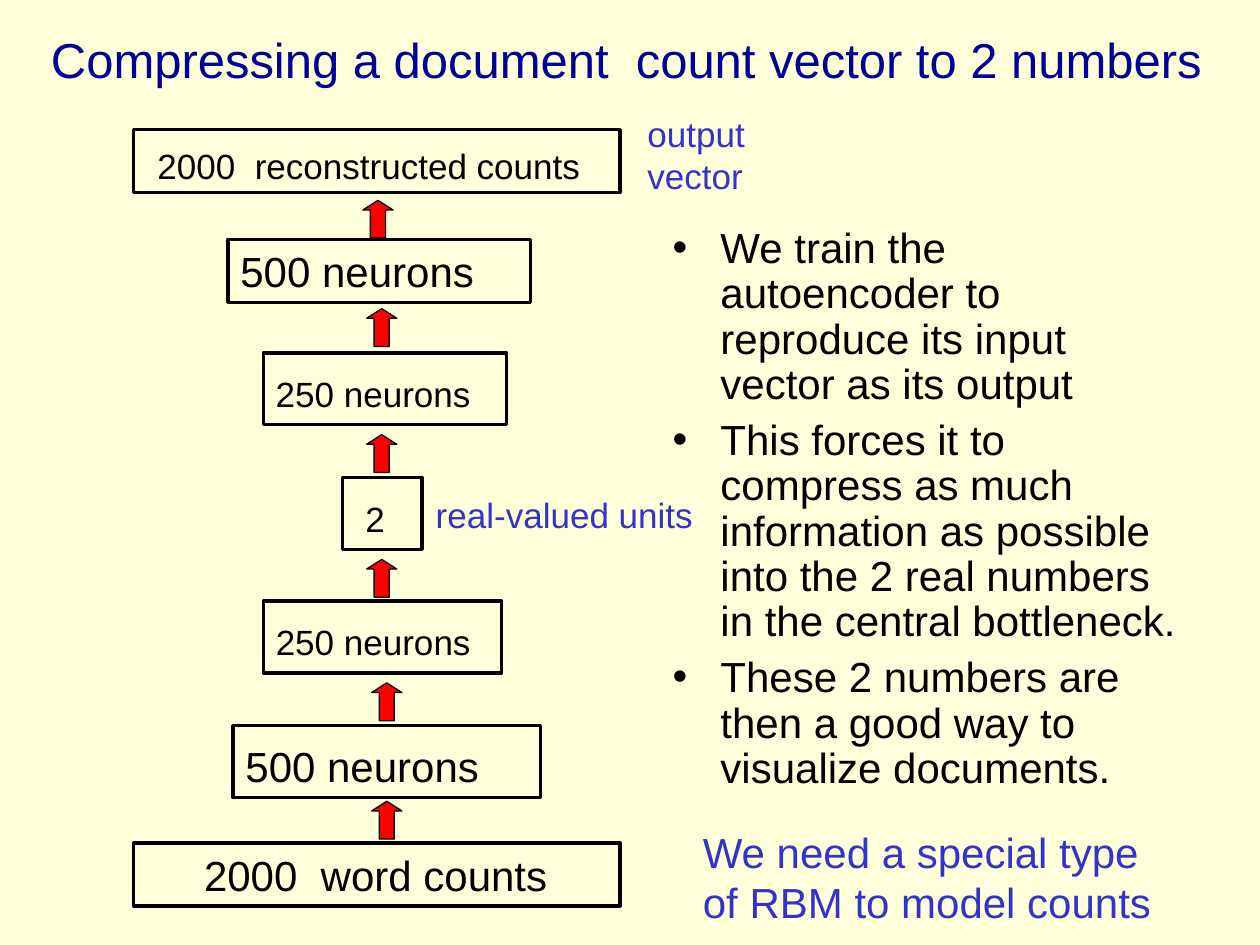
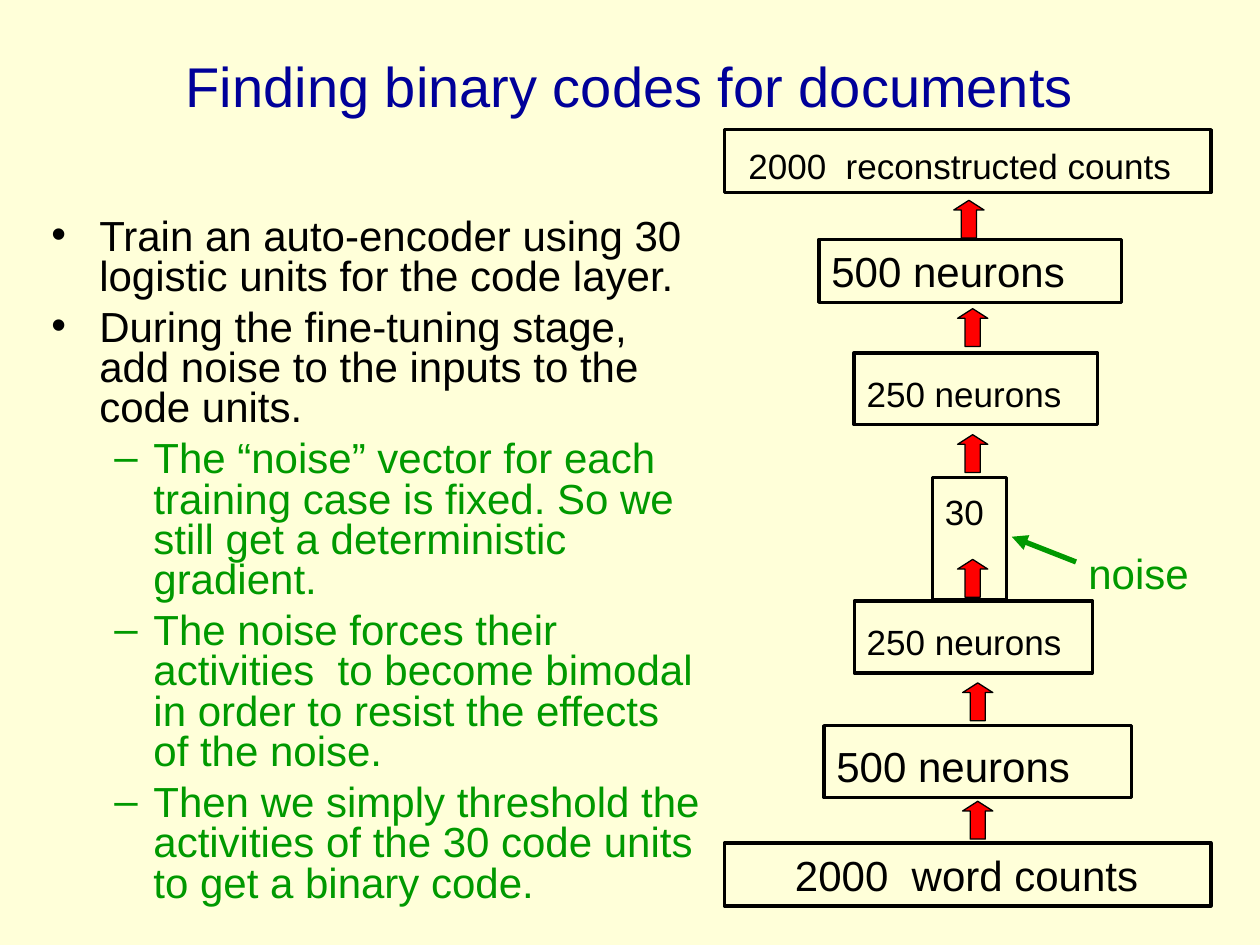
"""Build two slides on compressing documents with deep autoencoders."""
from lxml.etree import SubElement
from pptx import Presentation
from pptx.dml.color import RGBColor
from pptx.enum.shapes import MSO_CONNECTOR as Wire, MSO_SHAPE as Kind
from pptx.enum.text import MSO_ANCHOR as Anchor, PP_ALIGN as Align
from pptx.oxml.ns import qn
from pptx.util import Inches, Pt

CREAM = RGBColor(0xFF, 0xFF, 0xD9)
NAVY = RGBColor(0x00, 0x00, 0x99)
BLUE = RGBColor(0x33, 0x33, 0xCC)
GREEN = RGBColor(0x00, 0x99, 0x00)
RED = RGBColor(0xFF, 0x00, 0x00)
BLACK = RGBColor(0x00, 0x00, 0x00)

FONT = "Arial"
COLS, ROWS = 100, 75
BULLETS = (("•", 0.38, -0.38, BLACK), ("–", 0.81, -0.31, GREEN))

LAYERS = (
    ("2000  reconstructed counts", 0, 10.3, 38.6, 5, 20, 1.9, 0.5),
    ("500 neurons", 7.5, 19, 24, 5, 24, 1, 0.5),
    ("250 neurons", 10.3, 28, 19.3, 5.7, 20, 1, 0.8),
    ("250 neurons", 10.3, 47.7, 18.9, 5.7, 20, 1, 0.8),
    ("500 neurons", 7.9, 57.6, 24.4, 5.7, 24, 1, 0.5),
    ("2000  word counts", 0, 66.9, 38.6, 5, 24, 5.6, 0.5),
)
ARROWS = ((18.2, 15.9), (18.5, 24.5), (18.5, 34.5),
          (18.5, 44.4), (18.9, 54.2), (18.9, 63.6))


def write(shape, items, size=24, color=BLACK, align=Align.LEFT, lead=1.2,
          anchor=Anchor.TOP, pads=(0.1, 0.05, 0.1, 0.05), bullets=False):
    """Fill a shape with (text, level) paragraphs in one format."""
    frame = shape.text_frame
    frame.word_wrap = True
    frame.vertical_anchor = anchor
    (frame.margin_left, frame.margin_top,
     frame.margin_right, frame.margin_bottom) = map(Inches, pads)
    for spot, (text, level) in enumerate(items):
        para = frame.add_paragraph() if spot else frame.paragraphs[0]
        para.alignment = align
        para.level = level
        para.line_spacing = Pt(size * lead)
        para.space_before = Pt(6 if spot else 0)
        tint = color
        if bullets:
            mark, left, hang, tint = BULLETS[level]
            props = para._p.get_or_add_pPr()
            props.set("marL", str(Inches(left)))
            props.set("indent", str(Inches(hang)))
            SubElement(props, qn("a:buFont"), typeface=FONT)
            SubElement(props, qn("a:buChar"), char=mark)
        run = para.add_run()
        run.text = text
        run.font.name = FONT
        run.font.size = Pt(size)
        run.font.color.rgb = tint


class Deck:
    """Hold the deck's grid and style, and draw on the current slide."""

    def __init__(self):
        """Start an empty deck."""
        self.show = Presentation()
        self.show.slide_width = Inches(10)
        self.show.slide_height = Inches(7.5)
        self.slide = None

    def grid(self, col, row):
        """Turn columns and rows into lengths."""
        return (round(self.show.slide_width * col / COLS),
                round(self.show.slide_height * row / ROWS))

    def page(self, title, size, *area):
        """Add a slide with its title."""
        self.slide = self.show.slides.add_slide(self.show.slide_layouts[6])
        fill = self.slide.background.fill
        fill.solid()
        fill.fore_color.rgb = CREAM
        self.text(title, *area, size=size, color=NAVY, align=Align.CENTER,
                  anchor=Anchor.MIDDLE)

    def frame(self, col, row, wide, high):
        """Add an empty text box."""
        return self.slide.shapes.add_textbox(*self.grid(col, row),
                                             *self.grid(wide, high))

    def text(self, words, *area, **style):
        """Add a text box with one paragraph."""
        write(self.frame(*area), [(words, 0)], **style)

    def list(self, items, *area, lead):
        """Add a bulleted list."""
        write(self.frame(*area), items, lead=lead, bullets=True)

    def shape(self, kind, col, row, wide, high, line, fill=None):
        """Add an outlined preset shape."""
        shape = self.slide.shapes.add_shape(
            kind, *self.grid(col, row), *self.grid(wide, high))
        shape.shadow.inherit = False
        shape.line.color.rgb = BLACK
        shape.line.width = Pt(line)
        if fill is None:
            shape.fill.background()
        else:
            shape.fill.solid()
            shape.fill.fore_color.rgb = fill
        return shape

    def box(self, words, *area, **style):
        """Add a layer box with its label."""
        write(self.shape(Kind.RECTANGLE, *area, 2), [(words, 0)], **style)

    def arrow(self, col, row):
        """Add a red arrow that points up."""
        shape = self.shape(Kind.UP_ARROW, col, row, 2.4, 3, 0.75, RED)
        shape.adjustments[0] = 0.5
        shape.adjustments[1] = 0.32

    def wire(self, start, end, color):
        """Add a line with an arrowhead at its end."""
        line = self.slide.shapes.add_connector(
            Wire.STRAIGHT, *self.grid(*start), *self.grid(*end))
        line.line.color.rgb = color
        line.line.width = Pt(3)
        SubElement(line.line._get_or_add_ln(), qn("a:tailEnd"), type="triangle")
        SubElement(line._element.spPr, qn("a:effectLst"))

    def stack(self, left, code, col, wide, high, **style):
        """Draw the autoencoder around its code layer."""
        for words, shift, row, width, tall, size, pad, foot in LAYERS:
            self.box(words, left + shift, row, width, tall, size=size,
                     anchor=Anchor.BOTTOM, pads=(pad / 10, 0, 0, foot / 10))
        self.box(code, left + col, 37.9, wide, high, size=20, **style)
        for shift, row in ARROWS:
            self.arrow(left + shift, row)


def main():
    """Build and save the deck."""
    deck = Deck()

    deck.page("Compressing a document  count vector to 2 numbers", 28,
              -2.6, -1.6, 104.6, 12.5)
    deck.list([
        ("We train the autoencoder to reproduce its input vector as its output", 0),
        ("This forces it to compress as much information as possible into "
         "the 2 real numbers in the central bottleneck.", 0),
        ("These 2 numbers are then a good way to visualize documents.", 0),
    ], 52.4, 17.5, 42.6, 49.5, lead=1.08)
    deck.stack(10.6, "2", 16.6, 6.3, 5.7, anchor=Anchor.BOTTOM,
               pads=(0.18, 0, 0, 0.08))
    deck.text("output vector", 50.4, 8.4, 12.6, 7.7, size=20, color=BLUE)
    deck.text("We need a special type of RBM to model counts",
              54.8, 65.1, 39.9, 9, color=BLUE)
    deck.text("real-valued units", 33.6, 38.7, 24.8, 4.4, size=20, color=BLUE)

    deck.page("Finding binary codes for documents", 32, 5, 0.5, 90, 12.5)
    deck.list([
        ("Train an auto-encoder using 30 logistic units for the code layer.", 0),
        ("During the fine-tuning stage, add noise to the inputs to the "
         "code units.", 0),
        ("The “noise” vector for each training case is fixed. So we still "
         "get a deterministic gradient.", 1),
        ("The noise forces their activities  to become bimodal in order to "
         "resist the effects of the noise.", 1),
        ("Then we simply threshold the activities of the 30 code units to "
         "get a binary code.", 1),
    ], 3.1, 16.9, 53.7, 57, lead=0.96)
    deck.stack(57.5, "30", 16.5, 5.9, 9.7, pads=(0.1, 0.1, 0, 0))
    deck.text("noise", 85.4, 43, 14, 5, color=GREEN)
    deck.wire((85.4, 44.6), (80.3, 42.6), GREEN)

    deck.show.save("out.pptx")


if __name__ == "__main__":
    main()
